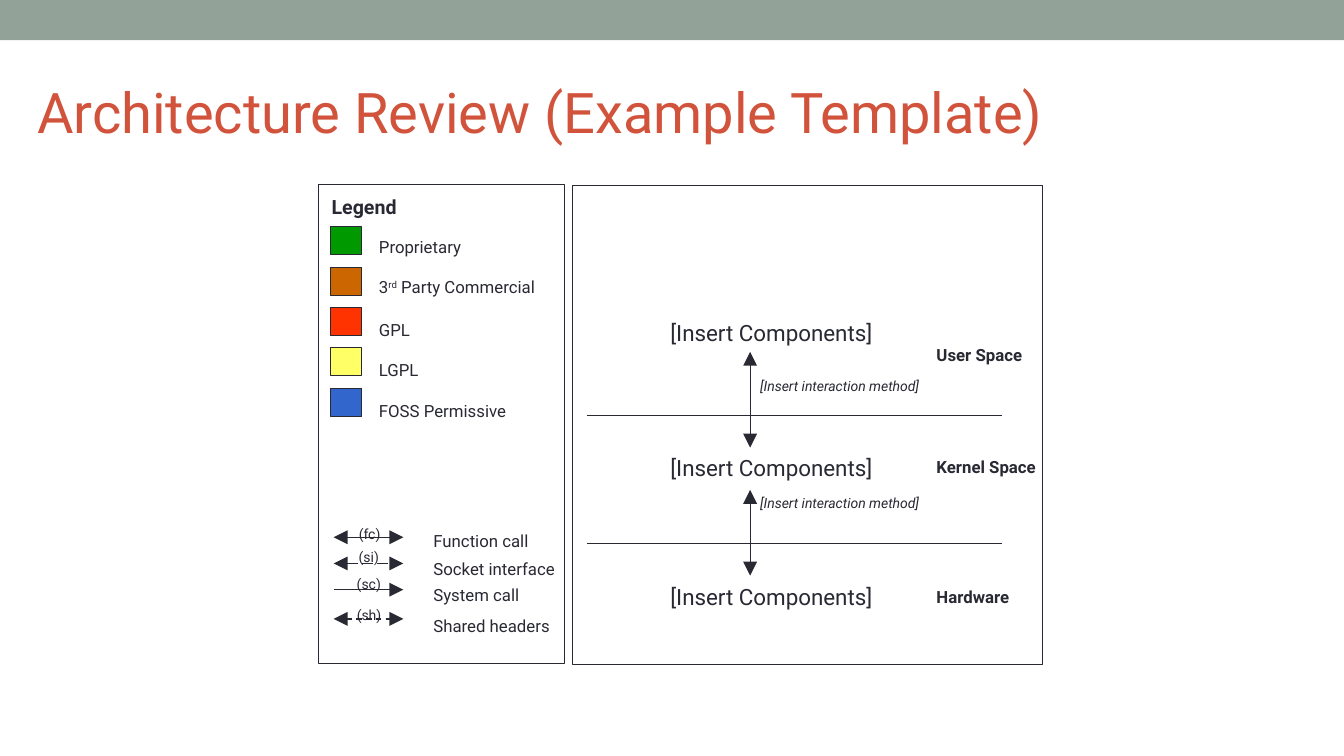
from lxml.etree import SubElement
from pptx import Presentation
from pptx.dml.color import RGBColor
from pptx.enum.dml import MSO_LINE
from pptx.enum.shapes import MSO_CONNECTOR, MSO_SHAPE
from pptx.enum.text import MSO_ANCHOR, MSO_AUTO_SIZE, PP_ALIGN
from pptx.oxml.ns import qn
from pptx.util import Inches, Pt

INK = "292934"


def color(hex_code):
    return RGBColor.from_string(hex_code)


class ReviewSlide:
    font = "Roboto"

    def __init__(self, slide):
        self.slide = slide

    def style(self, run, size, hex_code=INK, bold=False, italic=False):
        run.font.name = self.font
        run.font.size = Pt(size)
        run.font.color.rgb = color(hex_code)
        run.font.bold = bold
        run.font.italic = italic

    def title(self, text, left, top, width, height):
        heading = self.slide.shapes.title
        heading.left, heading.top = Inches(left), Inches(top)
        heading.width, heading.height = Inches(width), Inches(height)
        frame = heading.text_frame
        frame.text = text
        frame.auto_size = MSO_AUTO_SIZE.NONE
        frame.vertical_anchor = MSO_ANCHOR.MIDDLE
        frame.paragraphs[0].alignment = PP_ALIGN.LEFT
        self.style(frame.paragraphs[0].runs[0], 40, "D2533C")

    def box(self, left, top, width, height, fill=None, line_width=None):
        box = self.slide.shapes.add_shape(
            MSO_SHAPE.RECTANGLE, Inches(left), Inches(top), Inches(width), Inches(height))
        box.shadow.inherit = False
        if fill:
            box.fill.solid()
            box.fill.fore_color.rgb = color(fill)
        else:
            box.fill.background()
        if line_width:
            box.line.color.rgb = color(INK)
            box.line.width = Pt(line_width)
        else:
            box.line.fill.background()

    def label(self, text, left, top, width, height=0.3, size=12, superscript=None, **look):
        label = self.slide.shapes.add_textbox(
            Inches(left), Inches(top), Inches(width), Inches(height))
        label.text_frame.word_wrap = False
        paragraph = label.text_frame.paragraphs[0]
        before, raised, after = text.partition(superscript) if superscript else (text, "", "")
        paragraph.text = before
        if raised:
            raised_run = paragraph.add_run()
            raised_run.text = raised
            raised_run.font._element.set("baseline", "30000")
            paragraph.add_run().text = after
        for run in paragraph.runs:
            self.style(run, size, **look)

    def line(self, x1, y1, x2, y2, width=1, dash=None, heads=()):
        line = self.slide.shapes.add_connector(
            MSO_CONNECTOR.STRAIGHT, Inches(x1), Inches(y1), Inches(x2), Inches(y2))
        line.line.color.rgb = color(INK)
        line.line.width = Pt(width)
        if dash:
            line.line.dash_style = dash
        outline = line.line._get_or_add_ln()
        for end in heads:
            SubElement(outline, qn(f"a:{end}"), type="triangle", w="lg", len="lg")
        SubElement(line._element.spPr, qn("a:effectLst"))


BOTH_ENDS = ("headEnd", "tailEnd")

presentation = Presentation()
presentation.slide_width, presentation.slide_height = Inches(13.33), Inches(7.5)
review = ReviewSlide(presentation.slides.add_slide(presentation.slide_layouts[5]))

# Header band and title
review.box(0, 0, 13.33, 0.4, fill="93A299")
review.title("Architecture Review (Example Template)", 0.27, 0.56, 12, 1.08)

# Legend: license colors
review.box(3.16, 1.83, 2.44, 4.75, line_width=1)
review.label("Legend", 3.19, 1.88, 0.86, 0.34, size=14, bold=True)
licenses = [
    ("Proprietary", "009900", 2.3, 1.02, None),
    ("3rd Party Commercial", "CC6600", 2.7, 1.77, "rd"),
    ("GPL", "FF3300", 3.12, 0.51, None),
    ("LGPL", "FFFF66", 3.52, 0.61, None),
    ("FOSS Permissive", "3366CC", 3.93, 1.48, None),
]
for row, (license_name, fill, top, width, superscript) in enumerate(licenses):
    review.box(3.28, 2.25 + 0.4 * row, 0.31, 0.28, fill=fill, line_width=0.75)
    review.label(license_name, 3.66, top, width, superscript=superscript)

# Legend: interaction arrows (line, code and name of each)
interactions = [
    ("Function call", 5.33, 5.22, 1.15, "(fc)", 3.46, 5.16, 0.42, None, BOTH_ENDS),
    ("Socket interface", 5.59, 5.49, 1.42, "(si)", 3.46, 5.39, 0.4, MSO_LINE.LONG_DASH, BOTH_ENDS),
    ("System call", 5.85, 5.75, 1.06, "(sc)", 3.44, 5.66, 0.44, None, ("tailEnd",)),
    ("Shared headers", 6.14, 6.06, 1.37, "(sh)", 3.44, 5.97, 0.45, MSO_LINE.DASH, BOTH_ENDS),
]
for name, arrow_y, top, width, code, code_left, code_top, code_width, dash, heads in interactions:
    review.line(3.31, arrow_y, 4, arrow_y, dash=dash, heads=heads)
    review.label(name, 4.2, top, width)
    review.label(code, code_left, code_top, code_width, 0.27, size=10)

# Architecture layers
review.box(5.68, 1.84, 4.66, 4.75, line_width=1)
layers = [
    ("User Space", 3.37, 1.06, 3.12),
    ("Kernel Space", 4.48, 1.2, 4.46),
    ("Hardware", 5.77, 0.93, 5.74),
]
for layer, top, width, components_top in layers:
    review.label(layer, 9.19, top, width, bold=True)
    review.label("[Insert Components]", 6.55, components_top, 2.23, 0.37, size=16)

# Layer boundaries and the interactions that cross them
for boundary_y, start_y, end_y, method_top in [(4.12, 3.49, 4.44, 3.7), (5.39, 4.86, 5.71, 4.86)]:
    review.line(5.82, boundary_y, 9.94, boundary_y)
    review.line(7.44, start_y, 7.44, end_y, width=0.75, heads=BOTH_ENDS)
    review.label("[Insert interaction method]", 7.44, method_top, 1.81, 0.27, size=10, italic=True)

presentation.save("out.pptx")
